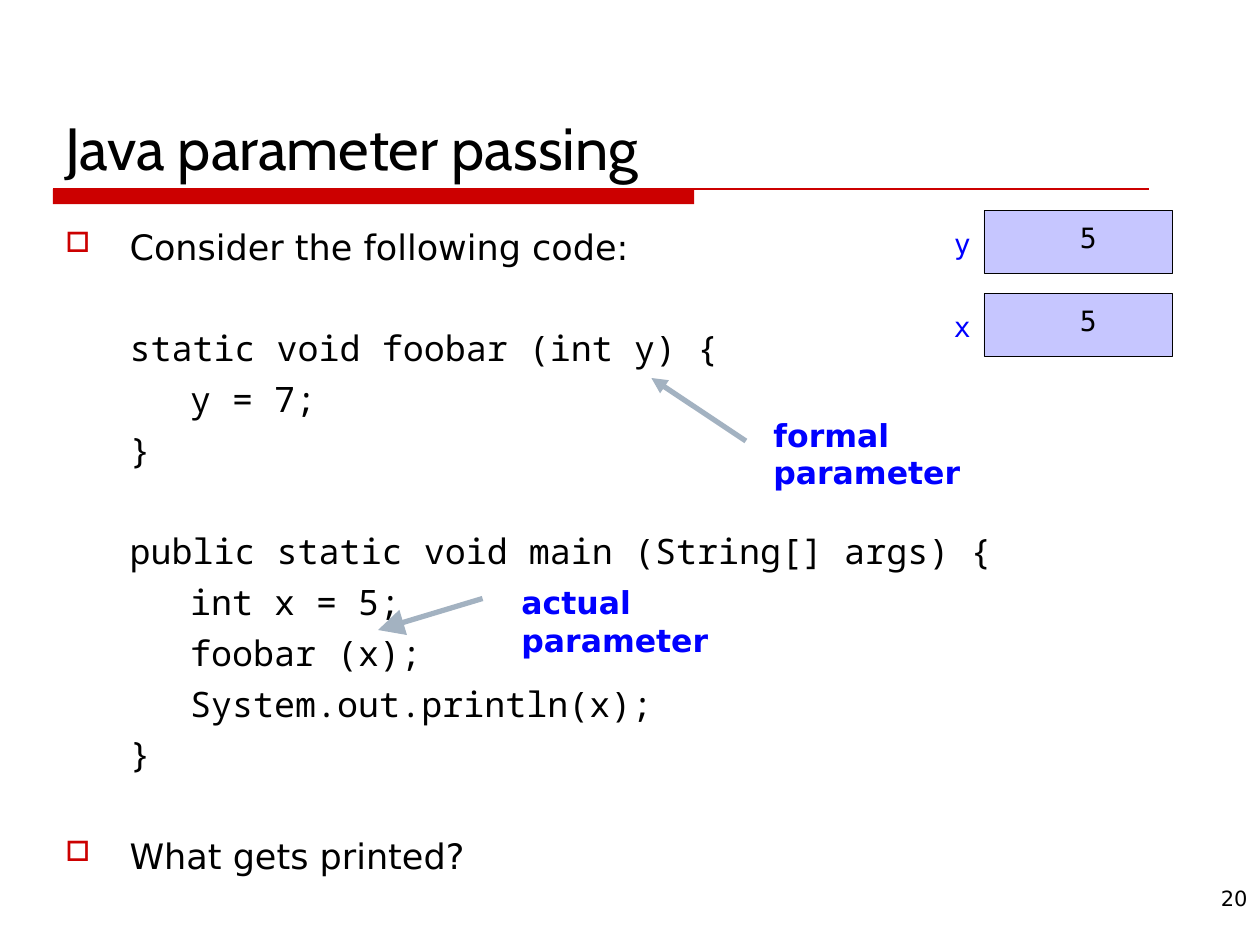
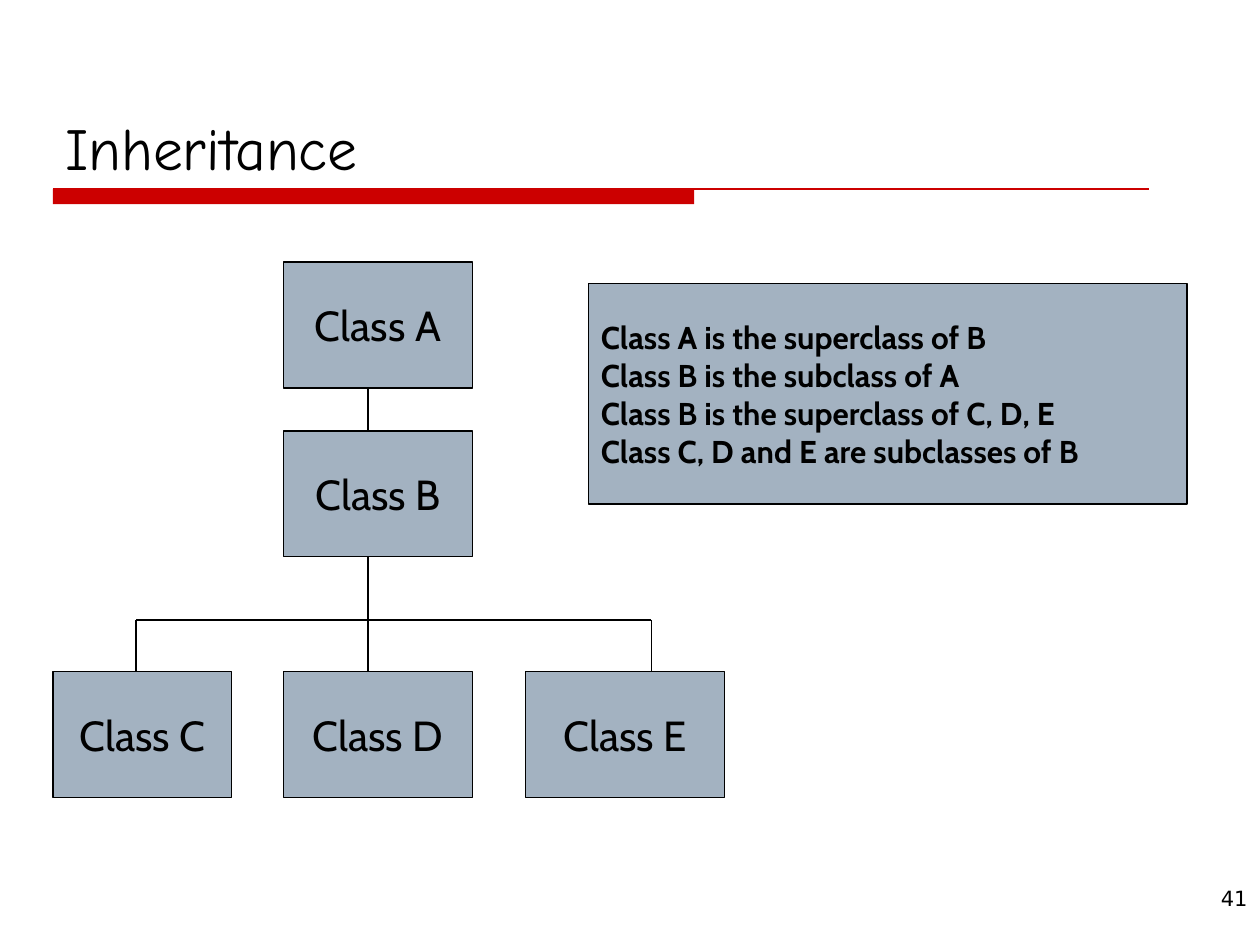
from lxml.etree import SubElement
from pptx import Presentation
from pptx.dml.color import RGBColor
from pptx.enum.shapes import MSO_CONNECTOR, MSO_SHAPE
from pptx.enum.text import MSO_ANCHOR, PP_ALIGN
from pptx.oxml.ns import qn
from pptx.util import Inches, Pt

COLORS = {"accent": "CC0000", "text": "000000", "label": "0000FF",
          "memory": "C6C6FF", "steel": "A3B2C1"}
SANS, MONO, CODE = "DejaVu Sans", "DejaVu Sans Mono", "Noto Sans Mono"
HEADING = "Cabin"

LINE_HEIGHT, LINE_GAP = 23.25, 5.75
BLANK_LINE = LINE_HEIGHT + LINE_GAP

# Style of each body line: font, left margin, first-line indent, bullet
BODY_STYLES = {
    "point": (SANS, 0.51, -0.51, "□"),
    "code": (CODE, 0.51, 0, None),
    "nested": (CODE, 0.99, 0, None),
}
# Style, text, blank lines above
CODE_LISTING = [
    ("point", "Consider the following code:", 0),
    ("code", "static void foobar (int y) {", 1),
    ("nested", "y = 7;", 0),
    ("code", "}", 0),
    ("code", "public static void main (String[] args) {", 1),
    ("nested", "int x = 5;", 0),
    ("nested", "foobar (x);", 0),
    ("nested", "System.out.println(x);", 0),
    ("code", "}", 0),
    ("point", "What gets printed?", 1),
]
CLASS_BOXES = [
    ("Class A", 2.25, 2.08, 1.5),
    ("Class B", 2.25, 3.42, 1.5),
    ("Class C", 0.42, 5.33, 1.42),
    ("Class D", 2.25, 5.33, 1.5),
    ("Class E", 4.17, 5.33, 1.58),
]
RELATIONS = [
    "Class A is the superclass of B",
    "Class B is the subclass of A",
    "Class B is the superclass of C, D, E",
    "Class C, D and E are subclasses of B",
]


def rgb(name):
    return RGBColor.from_string(COLORS[name])


def set_all(target, values):
    for attribute, value in values.items():
        setattr(target, attribute, value)


def write(paragraph, text, size, font=SANS, color="text", bold=False, align=PP_ALIGN.LEFT):
    paragraph.alignment = align
    run = paragraph.add_run()
    run.text = text
    set_all(run.font, {"size": Pt(size), "name": font, "bold": bold})
    run.font.color.rgb = rgb(color)


def add_text(shapes, box, text, size, anchor=MSO_ANCHOR.TOP, wrap=True, inset=True, **style):
    frame = shapes.add_textbox(*map(Inches, box)).text_frame
    set_all(frame, {"word_wrap": wrap, "vertical_anchor": anchor})
    if not inset:
        set_all(frame, dict.fromkeys(
            ("margin_left", "margin_top", "margin_right", "margin_bottom"), 0))
    write(frame.paragraphs[0], text, size, **style)


def add_box(shapes, box, fill, line_width=None, lines=(), size=18, **style):
    """Add a rectangle, outlined only if line_width is given."""
    rectangle = shapes.add_shape(MSO_SHAPE.RECTANGLE, *map(Inches, box))
    rectangle.shadow.inherit = False
    rectangle.fill.solid()
    rectangle.fill.fore_color.rgb = rgb(fill)
    if line_width:
        rectangle.line.color.rgb = rgb("text")
        rectangle.line.width = Pt(line_width)
    else:
        rectangle.line.fill.background()
    frame = rectangle.text_frame
    set_all(frame, {"word_wrap": True, "vertical_anchor": MSO_ANCHOR.MIDDLE})
    for index, line in enumerate(lines):
        paragraph = frame.add_paragraph() if index else frame.paragraphs[0]
        write(paragraph, line, size, font=HEADING, **style)


def add_line(shapes, start, end, color="text", width=0.75, head=None):
    """Draw a line; head is the arrowhead size (med or lg) at its end."""
    line = shapes.add_connector(MSO_CONNECTOR.STRAIGHT, *map(Inches, (*start, *end)))
    line.line.color.rgb = rgb(color)
    line.line.width = Pt(width)
    if head:
        SubElement(line.line._get_or_add_ln(), qn("a:tailEnd"),
                   type="triangle", w=head, len=head)
    SubElement(line._element.spPr, qn("a:effectLst"))


def add_bullet(paragraph, character):
    properties = paragraph._p.get_or_add_pPr()
    color = SubElement(properties, qn("a:buClr"))
    SubElement(color, qn("a:srgbClr"), val=COLORS["accent"])
    SubElement(properties, qn("a:buSzPct"), val="80000")
    SubElement(properties, qn("a:buChar"), char=character)


def add_code_listing(shapes):
    frame = shapes.add_textbox(*map(Inches, (0.42, 1.75, 9.42, 5.58))).text_frame
    frame.word_wrap = True
    for index, (style, text, blanks) in enumerate(CODE_LISTING):
        font, margin, indent, bullet = BODY_STYLES[style]
        paragraph = frame.add_paragraph() if index else frame.paragraphs[0]
        write(paragraph, text, 20, font)
        set_all(paragraph, {
            "line_spacing": Pt(LINE_HEIGHT),
            "space_before": Pt(LINE_GAP + blanks * BLANK_LINE if index else 0),
        })
        properties = paragraph._p.get_or_add_pPr()
        properties.set("marL", str(Inches(margin)))
        properties.set("indent", str(Inches(indent)))
        if bullet:
            add_bullet(paragraph, bullet)


def add_variable(shapes, name, value, top):
    """Add a memory cell with its variable name at the left, as one group."""
    cell = shapes.add_group_shape().shapes
    add_box(cell, (7.81, top, 1.5, 0.5), "memory", 0.5)
    for text, left, drop, color in ((name, 7.57, 0.13, "label"), (value, 8.57, 0.08, "text")):
        add_text(cell, (left, top + drop, 0.13, 0.27), text, 16, wrap=False, inset=False,
                 font=MONO, color=color, align=PP_ALIGN.CENTER)


def add_titled_slide(presentation, title, number, font=HEADING):
    shapes = presentation.slides.add_slide(presentation.slide_layouts[6]).shapes
    add_box(shapes, (0.42, 1.5, 5.09, 0.12), "accent")
    add_line(shapes, (0.42, 1.5), (9.12, 1.5), "accent")
    add_text(shapes, (9.25, 6.98, 0.75, 0.52), number, 12, align=PP_ALIGN.RIGHT)
    add_text(shapes, (0.42, 0.17, 9, 1.33), title, 34, anchor=MSO_ANCHOR.BOTTOM, font=font)
    return shapes


def build_parameter_passing(presentation):
    shapes = add_titled_slide(presentation, "Java parameter passing", "20")
    add_code_listing(shapes)
    for label, box, start, end, head in (
        ("formal parameter", (6.04, 3.25, 2.44, 0.4), (5.92, 3.5), (5.17, 3), "med"),
        ("actual parameter", (4.04, 4.58, 2.38, 0.4), (3.83, 4.75), (3, 5), "lg"),
    ):
        add_line(shapes, start, end, "steel", 3, head)
        add_text(shapes, box, label, 18, color="label", bold=True)
    add_variable(shapes, "y", "5", 1.67)
    add_variable(shapes, "x", "5", 2.33)


def build_inheritance(presentation):
    shapes = add_titled_slide(presentation, "Inheritance", "41", "Comic Neue")
    for name, left, top, width in CLASS_BOXES:
        add_box(shapes, (left, top, width, 1), "steel", 0.75, [name], 24,
                align=PP_ALIGN.CENTER)
    branch, leaves = 4.92, 5.33
    trunk, first, last = 2.92, 1.08, 5.17
    add_line(shapes, (first, branch), (last, branch))
    for x, top, bottom in ((first, branch, leaves), (last, branch, leaves),
                           (trunk, 4.42, leaves), (trunk, 3.08, 3.42)):
        add_line(shapes, (x, top), (x, bottom))
    add_box(shapes, (4.67, 2.25, 4.75, 1.75), "steel", 0.75, RELATIONS, bold=True)


def main():
    presentation = Presentation()
    set_all(presentation, {"slide_width": Inches(10), "slide_height": Inches(7.5)})
    build_parameter_passing(presentation)
    build_inheritance(presentation)
    presentation.save("out.pptx")


if __name__ == "__main__":
    main()
